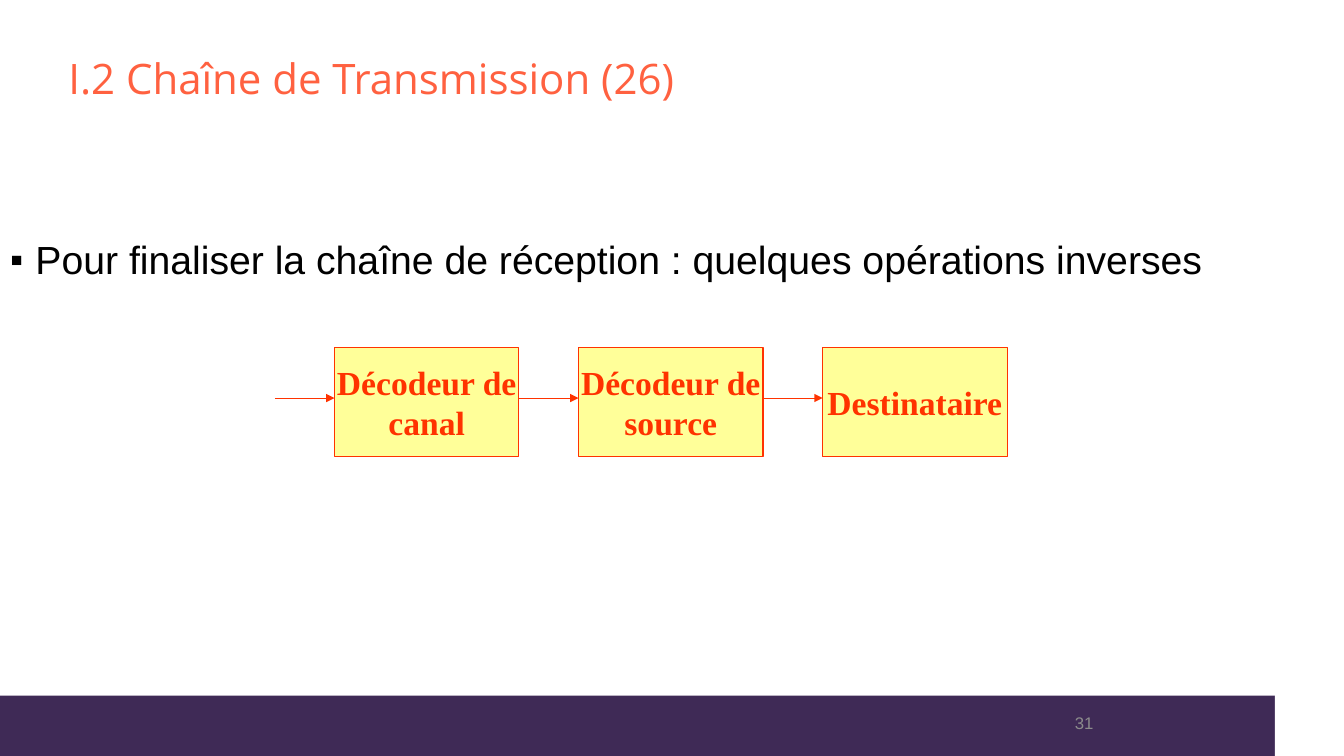
from dataclasses import dataclass

from lxml.etree import SubElement
from pptx import Presentation
from pptx.dml.color import RGBColor
from pptx.enum.shapes import MSO_CONNECTOR, MSO_SHAPE
from pptx.enum.text import MSO_ANCHOR, MSO_AUTO_SIZE, PP_ALIGN
from pptx.oxml.ns import qn
from pptx.shapes.autoshape import Shape
from pptx.slide import Slide
from pptx.text.text import TextFrame
from pptx.util import Cm, Pt


@dataclass(frozen=True)
class TextStyle:
    """Font, size in points, colour and weight of a text."""
    font: str
    size: int
    color: str
    bold: bool = False


@dataclass(frozen=True)
class Theme:
    """Colours and type styles of the slide."""
    footer: str = "3F2A56"
    mark: str = "FFFFFF"
    stage_fill: str = "FFFF99"
    stage_line: str = "FF3300"
    line_width: float = 0.75
    title: TextStyle = TextStyle("Open Sans", 30, "FF6140")
    body: TextStyle = TextStyle("Arial", 28, "000000")
    stage: TextStyle = TextStyle("Times New Roman", 24, "FF3300", True)
    number: TextStyle = TextStyle("Arial", 12, "8C8C8C")


@dataclass(frozen=True)
class Area:
    """Position and size in centimetres."""
    left: float
    top: float
    width: float
    height: float


THEME = Theme()
STAGES = ("Décodeur de\ncanal", "Décodeur de\nsource", "Destinataire")
FIRST_STAGE = Area(8.43, 8.76, 4.65, 2.74)
STAGE_PITCH = 6.15
ARROW_TOP = 10.03


def place(shape: Shape, area: Area) -> None:
    """Move and resize a shape."""
    shape.left, shape.top = Cm(area.left), Cm(area.top)
    shape.width, shape.height = Cm(area.width), Cm(area.height)


def write(frame: TextFrame, text: str, style: TextStyle, align: PP_ALIGN,
          anchor: MSO_ANCHOR, wrap: bool = True) -> None:
    """Fill a text frame and format all its runs."""
    frame.text = text
    frame.auto_size = MSO_AUTO_SIZE.NONE
    frame.word_wrap = wrap
    frame.vertical_anchor = anchor
    for para in frame.paragraphs:
        para.alignment = align
        for span in para.runs:
            span.font.name = style.font
            span.font.size = Pt(style.size)
            span.font.bold = style.bold
            span.font.color.rgb = RGBColor.from_string(style.color)


def add_box(page: Slide, area: Area, fill: str, line: str | None = None) -> Shape:
    """Add a flat rectangle, outlined when a line colour is given."""
    box = page.shapes.add_shape(MSO_SHAPE.RECTANGLE, Cm(area.left), Cm(area.top),
                                Cm(area.width), Cm(area.height))
    box.shadow.inherit = False
    box.fill.solid()
    box.fill.fore_color.rgb = RGBColor.from_string(fill)
    if line is None:
        box.line.fill.background()
    else:
        box.line.color.rgb = RGBColor.from_string(line)
        box.line.width = Pt(THEME.line_width)
    return box


def add_arrow(page: Slide, start: float, end: float, top: float) -> None:
    """Add a horizontal arrow pointing right."""
    arrow = page.shapes.add_connector(MSO_CONNECTOR.STRAIGHT, Cm(start), Cm(top),
                                      Cm(end), Cm(top))
    arrow.line.color.rgb = RGBColor.from_string(THEME.stage_line)
    arrow.line.width = Pt(THEME.line_width)
    SubElement(arrow.line._get_or_add_ln(), qn("a:tailEnd"), type="triangle")
    SubElement(arrow._element.spPr, qn("a:effectLst"))


def add_stage(page: Slide, index: int, label: str) -> None:
    """Add one stage of the chain with its incoming arrow."""
    left = FIRST_STAGE.left + index * STAGE_PITCH
    area = Area(left, FIRST_STAGE.top, FIRST_STAGE.width, FIRST_STAGE.height)
    box = add_box(page, area, THEME.stage_fill, THEME.stage_line)
    write(box.text_frame, label, THEME.stage, PP_ALIGN.CENTER, MSO_ANCHOR.MIDDLE, False)
    add_arrow(page, left - (STAGE_PITCH - FIRST_STAGE.width), left, ARROW_TOP)


def fill_title(page: Slide) -> None:
    """Place and format the title."""
    title = page.shapes.title
    place(title, Area(1.47, 1.35, 30.18, 1.68))
    write(title.text_frame, "I.2 Chaîne de Transmission (26)", THEME.title,
          PP_ALIGN.LEFT, MSO_ANCHOR.TOP)
    title.text_frame.paragraphs[0].line_spacing = 0.9


def fill_body(page: Slide) -> None:
    """Place and format the bulleted sentence."""
    body = page.placeholders[1]
    place(body, Area(0, 5.94, 32.87, 2.34))
    write(body.text_frame,
          "Pour finaliser la chaîne de réception : quelques opérations inverses",
          THEME.body, PP_ALIGN.LEFT, MSO_ANCHOR.TOP)
    para = body.text_frame.paragraphs[0]
    para.line_spacing = 0.9
    para.space_before = Pt(10)
    properties = para._p.get_or_add_pPr()
    properties.set("marL", str(Cm(0.64)))
    properties.set("indent", str(-Cm(0.64)))
    SubElement(properties, qn("a:buSzPct"), val="95000")
    SubElement(properties, qn("a:buFont"), typeface=THEME.body.font)
    SubElement(properties, qn("a:buChar"), char="▪")


def add_footer(page: Slide) -> None:
    """Add the footer band and the plain corner mark."""
    add_box(page, Area(0, 17.53, 33.87, 1.52), THEME.footer)
    add_box(page, Area(32.13, 17.3, 1.74, 1.75), THEME.mark)


def add_number(page: Slide) -> None:
    """Add the slide number."""
    box = page.shapes.add_textbox(Cm(20.19), Cm(17.7), Cm(7.62), Cm(1.02))
    write(box.text_frame, "31", THEME.number, PP_ALIGN.RIGHT, MSO_ANCHOR.MIDDLE)


def main() -> None:
    """Build and save the slide."""
    deck = Presentation()
    deck.slide_width, deck.slide_height = Cm(33.87), Cm(19.05)
    page = deck.slides.add_slide(deck.slide_layouts[1])
    add_footer(page)
    fill_title(page)
    fill_body(page)
    for index, label in enumerate(STAGES):
        add_stage(page, index, label)
    add_number(page)
    deck.save("out.pptx")


main()
